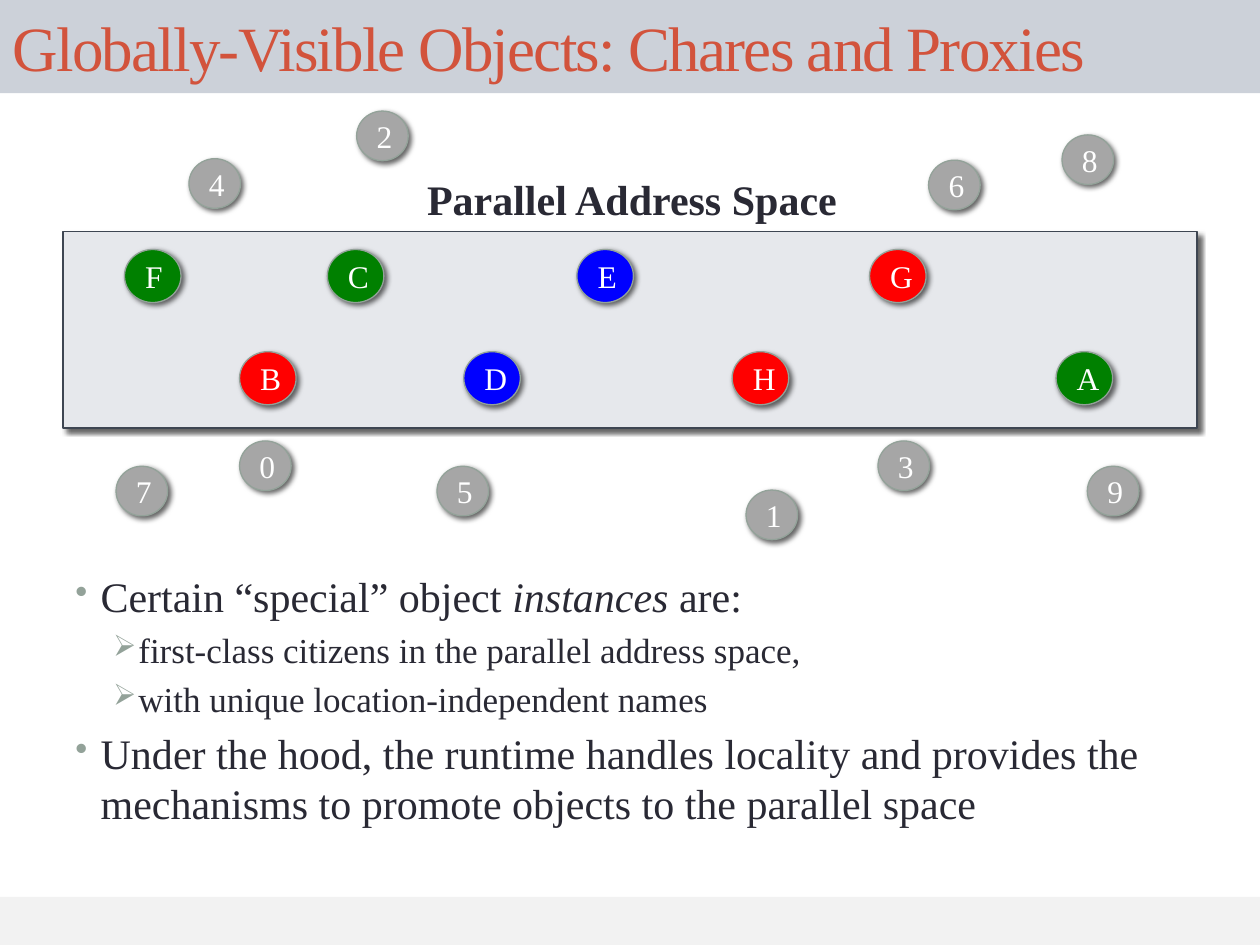
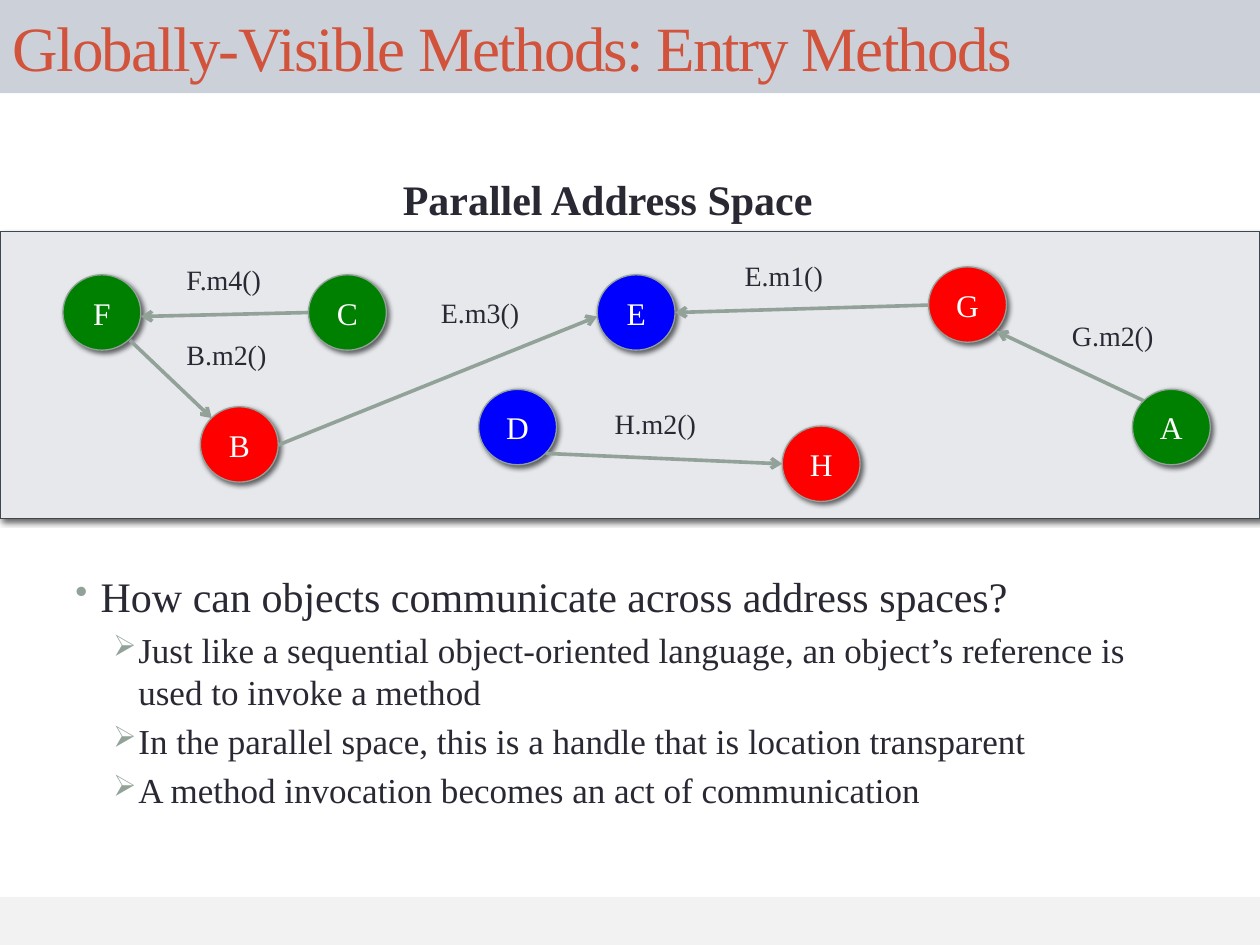
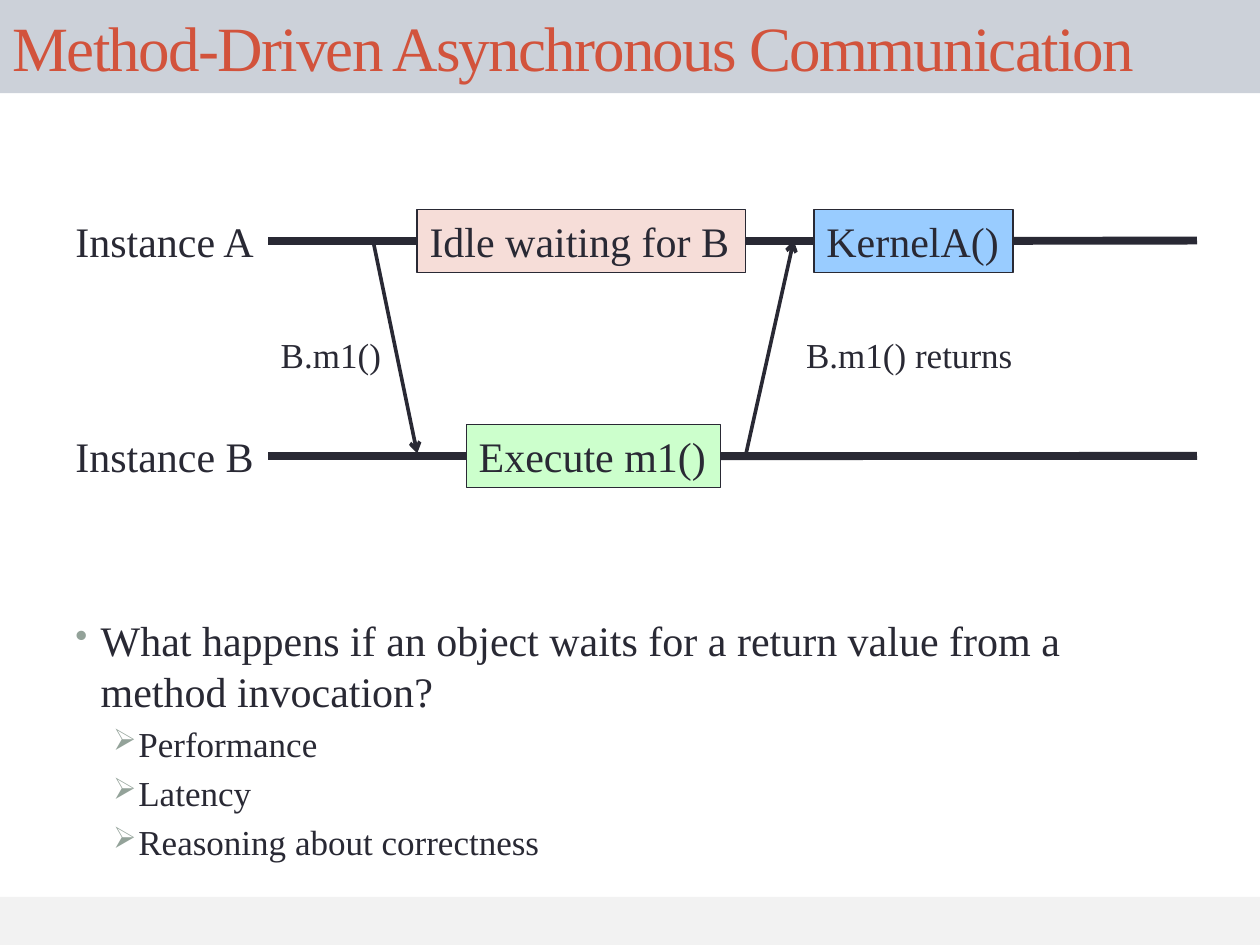
from lxml import etree
from pptx import Presentation
from pptx.dml.color import RGBColor
from pptx.enum.shapes import MSO_CONNECTOR, MSO_SHAPE
from pptx.enum.text import MSO_ANCHOR, PP_ALIGN
from pptx.oxml.ns import qn
from pptx.util import Cm, Pt

OVAL, RECT = MSO_SHAPE.OVAL, MSO_SHAPE.RECTANGLE
LINE = MSO_CONNECTOR.STRAIGHT
LEFT, MID = PP_ALIGN.LEFT, MSO_ANCHOR.MIDDLE
FONT = "Times New Roman"
INK, SAGE, WHITE = "292934", "93A299", "FFFFFF"
GREEN, BLUE, RED, GREY = "008000", "0000FF", "FF0000", "A6A6A6"
HUES = dict(zip("FCEGBDHA", (GREEN, GREEN, BLUE, RED, RED, BLUE, RED, GREEN)))
BIG = {"name": FONT, "size": Pt(24)}
HEAD = {**BIG, "bold": True}
SUB = {**BIG, "size": Pt(20)}
BALL = {**BIG, "size": Pt(18)}
CALL = {**BIG, "size": Pt(16)}
TITLE = {**BIG, "size": Pt(36)}


def hue(code):
    return RGBColor.from_string(code)


def put(page, kind, box, text="", look=BIG, tone=INK, fill=None, edge=None, shade=False, wrap=False):
    spot = [Cm(n) for n in box]
    if kind is None:
        shape = page.shapes.add_textbox(*spot)
        shape.text_frame.word_wrap = wrap
    else:
        shape = page.shapes.add_shape(kind, *spot)
        shape.shadow.inherit = False
    if fill:
        shape.fill.solid()
        shape.fill.fore_color.rgb = hue(fill)
    if edge:
        shape.line.color.rgb = hue(edge)
        shape.line.width = Pt(0.75)
    elif kind is not None:
        shape.line.fill.background()
    if shade:
        glow = etree.SubElement(shape.element.spPr.find(qn("a:effectLst")), qn("a:outerShdw"),
                                blurRad="38100", dist="25400", dir="2700000", rotWithShape="0")
        black = etree.SubElement(glow, qn("a:srgbClr"), val="000000")
        etree.SubElement(black, qn("a:alpha"), val="60000")
    if text:
        run = shape.text_frame.paragraphs[0].add_run()
        run.text = text
        for key, val in look.items():
            setattr(run.font, key, val)
        run.font.color.rgb = hue(tone)
    return shape


deck = Presentation()
deck.slide_width, deck.slide_height = Cm(25.4), Cm(19.05)

topics = [
    ("Globally-Visible Objects: Chares and Proxies", 11.38, [
        (0, "Certain “special” object *instances* are:"),
        (1, "first-class citizens in the parallel address space,"),
        (1, "with unique location-independent names"),
        (0, "Under the hood, the runtime handles locality and provides the "
            "mechanisms to promote objects to the parallel space")]),
    ("Globally-Visible Methods: Entry Methods", 11.38, [
        (0, "How can objects communicate across address spaces?"),
        (1, "Just like a sequential object-oriented language, an object’s reference is "
            "used to invoke a method"),
        (1, "In the parallel space, this is a handle that is location transparent"),
        (1, "A method invocation becomes an act of communication")]),
    ("Method-Driven Asynchronous Communication", 12.27, [
        (0, "What happens if an object waits for a return value from a method invocation?"),
        (1, "Performance"),
        (1, "Latency"),
        (1, "Reasoning about correctness")]),
]
levels = [("•", 0.51, BIG, 4.8), ("➢", 1.27, SUB, 4)]

pages = []
for name, top, points in topics:
    page = deck.slides.add_slide(deck.slide_layouts[5])
    pages.append(page)
    put(page, RECT, (0, 18.08, 25.4, 0.97), fill="F2F2F2")
    title = page.shapes.title
    title.left, title.top, title.width, title.height = Cm(0), Cm(0), Cm(25.4), Cm(1.88)
    title.fill.solid()
    title.fill.fore_color.rgb = hue("CCD1D9")
    title.text_frame.vertical_anchor = MID
    para = title.text_frame.paragraphs[0]
    para.alignment = LEFT
    run = para.add_run()
    run.text = name
    for key, val in TITLE.items():
        setattr(run.font, key, val)
    run.font.color.rgb = hue("D2533C")
    run._r.get_or_add_rPr().set("spc", "-100")

    body = put(page, None, (1.27, top, 22.86, 17.7 - top), wrap=True).text_frame
    for num, (level, text) in enumerate(points):
        mark, inset, look, gap = levels[level]
        para = body.add_paragraph() if num else body.paragraphs[0]
        para.level = level
        props = para._p.get_or_add_pPr()
        props.set("marL", str(Cm(inset)))
        props.set("indent", str(-Cm(0.51)))
        tint = etree.SubElement(props, qn("a:buClr"))
        etree.SubElement(tint, qn("a:srgbClr"), val=SAGE)
        etree.SubElement(props, qn("a:buSzPct"), val="85000")
        etree.SubElement(props, qn("a:buChar"), char=mark)
        if num:
            para.space_before = Pt(gap)
        for turn, part in enumerate(text.split("*")):
            run = para.add_run()
            run.text = part
            for key, val in look.items():
                setattr(run.font, key, val)
            run.font.italic = turn % 2 == 1
            run.font.color.rgb = hue(INK)

chares, entry, flow = pages

spaces = [
    (chares, (1.27, 4.67, 22.86, 3.96), (8.36, 3.38, 8.86, 1.27), False),
    (entry, (0, 4.67, 25.4, 5.79), (7.87, 3.38, 9.83, 1.27), True),
]
for page, panel, label, wrap in spaces:
    put(page, RECT, panel, fill="E6E8EC", edge="3E4652", shade=True)
    put(page, None, label, "Parallel Address Space", HEAD, wrap=wrap)

high, low = 5.03, 7.09
balls = [
    (chares, 1.14, 1.07, {
        "F": (2.51, high), "C": (6.6, high), "E": (11.63, high), "G": (17.53, high),
        "B": (4.83, low), "D": (9.35, low), "H": (14.76, low), "A": (21.29, low)}),
    (chares, 1.04, 1, {
        "4": (3.81, 3.2), "2": (7.19, 2.24), "6": (18.72, 3.23), "8": (21.41, 2.72),
        "7": (2.34, 9.4), "0": (4.83, 8.89), "5": (8.81, 9.4), "1": (15.04, 9.88),
        "3": (17.7, 8.89), "9": (21.92, 9.4)}),
    (entry, 1.57, 1.52, {
        "F": (1.27, 5.54), "C": (6.22, 5.54), "E": (12.04, 5.54), "G": (18.72, 5.38),
        "B": (4.04, 8.2), "D": (9.65, 7.85), "H": (15.77, 8.59), "A": (22.83, 7.85)}),
]
for page, wide, tall, spots in balls:
    for name, (x, y) in spots.items():
        put(page, OVAL, (x, y, wide, tall), name, BALL, WHITE, HUES.get(name, GREY), SAGE, True)

calls = [
    ("F.m4()", 3.51, 5.16, 2.03), ("B.m2()", 3.51, 6.68, 2.13), ("E.m3()", 8.64, 5.84, 2.11),
    ("E.m1()", 14.76, 5.08, 2.11), ("G.m2()", 21.36, 6.3, 2.18), ("H.m2()", 12.14, 8.08, 2.18),
]
for text, x, y, wide in calls:
    put(entry, None, (x, y, wide, 0.94), text, CALL)

row_a, row_b = 4.22, 8.56
steps = [
    ("Instance A", 1.27, row_a, 4.14, None), ("Instance B", 1.27, row_b, 4.14, None),
    ("Idle waiting for B", 8.41, row_a, 6.62, "F6DDD8"),
    ("Execute m1()", 9.4, row_b, 5.13, "CCFFCC"),
    ("KernelA()", 16.41, row_a, 4.01, "99CCFF"),
]
boxes = {}
for text, x, y, wide, fill in steps:
    boxes[text] = put(flow, None, (x, y, wide, 1.27), text, fill=fill, edge=fill and INK)
put(flow, None, (5.41, 6.6, 2.54, 1.12), "B.m1()", SUB)
put(flow, None, (16, 6.6, 4.7, 1.12), "B.m1() returns", SUB)

mid_a, mid_b = row_a + 0.63, row_b + 0.63
links = [
    (entry, SAGE, 2.08, [
        ((6.22, 6.3), (2.84, 6.38)), ((2.62, 6.86), (4.27, 8.43)),
        ((5.61, 8.97), (12.04, 6.38)), ((18.72, 6.15), (13.61, 6.3)),
        ((23.06, 8.08), (20.09, 6.68)), ((11, 9.14), (15.77, 9.35))]),
    (flow, INK, 4.5, [
        (("Instance A", 3), ("Idle waiting for B", 1)),
        (("Idle waiting for B", 3), ("KernelA()", 1)),
        (("KernelA()", 3), (24.13, mid_a)),
        (("Instance B", 3), ("Execute m1()", 1)),
        (("Execute m1()", 3), (24.13, mid_b))]),
    (flow, INK, 2.08, [
        ((7.52, mid_a), (8.41, 9.14)), ((15.04, 9.14), (16, mid_a))]),
]
for page, tone, thick, pairs in links:
    for start, end in pairs:
        ends = [(0, 0) if p[0] in boxes else p for p in (start, end)]
        link = page.shapes.add_connector(LINE, *[Cm(n) for p in ends for n in p])
        if start[0] in boxes:
            link.begin_connect(boxes[start[0]], start[1])
        if end[0] in boxes:
            link.end_connect(boxes[end[0]], end[1])
        link.line.color.rgb = hue(tone)
        link.line.width = Pt(thick)
        props = link._element.spPr
        if thick < 4:
            etree.SubElement(props.find(qn("a:ln")), qn("a:tailEnd"), type="arrow")
        etree.SubElement(props, qn("a:effectLst"))

deck.save("out.pptx")
